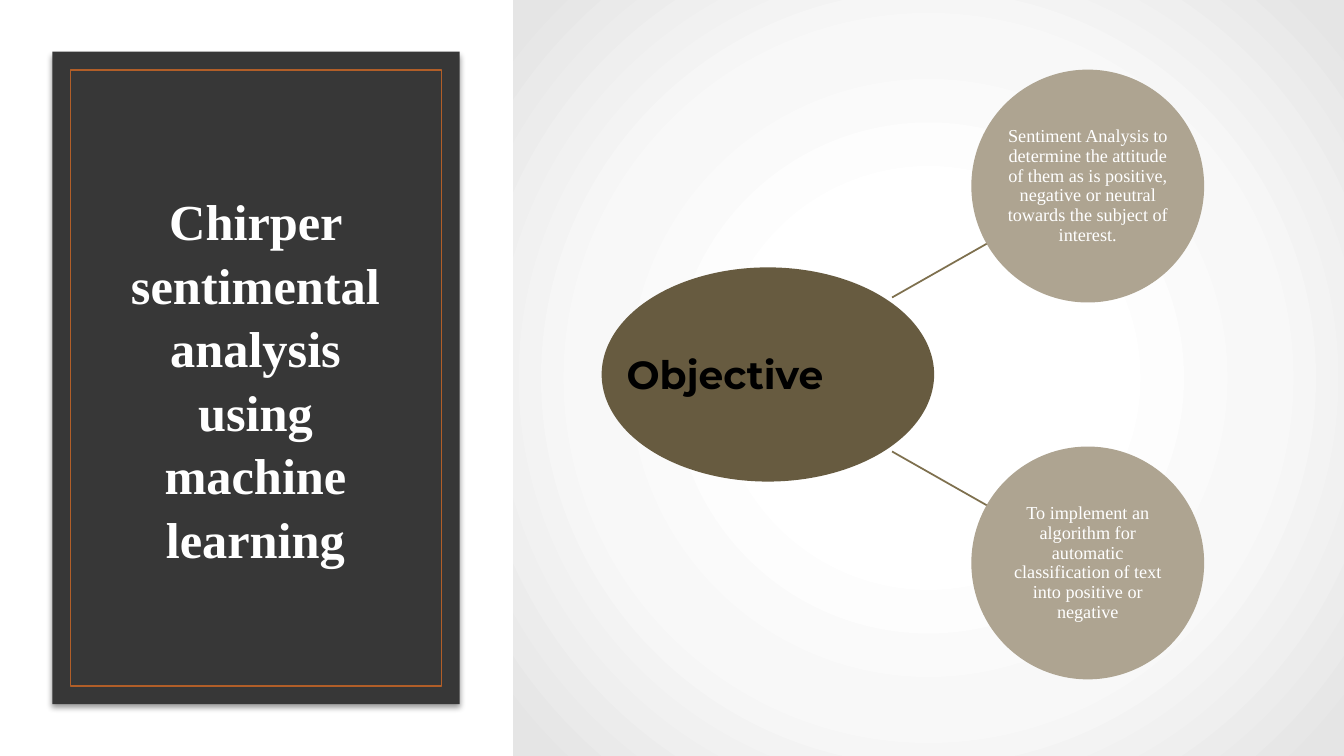
from lxml import etree
from pptx import Presentation, oxml
from pptx.dml.color import RGBColor
from pptx.enum import shapes, text
from pptx.oxml import ns
from pptx.util import Pt

COLORS = {
    "card": "373737", "frame": "B15E28", "hub": "675B40", "goal": "AEA491",
    "link": "7E704E", "white": "FFFFFF", "black": "000000",
}
STOPS = [(0, "FFFFFF"), (30, "FFFFFF"), (61, "F8F8F8"), (97, "E5E5E5")]
SERIF = "Times New Roman"
MID = 267.5
GOALS = [
    (-1, "Sentiment Analysis to determine the attitude of them as is positive, "
         "negative or neutral towards the subject of interest."),
    (1, "To implement an algorithm for automatic classification of text into "
        "positive or negative"),
]


def color(name):
    return RGBColor.from_string(COLORS[name])


def add_form(slide, kind, box, fill=None, line=None):
    form = slide.shapes.add_shape(kind, *map(Pt, box))
    if fill:
        form.fill.solid()
        form.fill.fore_color.rgb = color(fill)
    else:
        form.fill.background()
    if line:
        form.line.color.rgb = color(line)
        form.line.width = Pt(1.25)
    else:
        form.line.fill.background()
    form.shadow.inherit = False
    return form


def add_glow(form):
    effect = form.element.spPr.find(ns.qn("a:effectLst"))
    effect.append(oxml.parse_xml(
        f'<a:outerShdw {ns.nsdecls("a")} blurRad="{Pt(4)}" dist="{Pt(3)}" '
        f'dir="5400000" rotWithShape="0"><a:srgbClr val="{COLORS["black"]}">'
        '<a:alpha val="40000"/></a:srgbClr></a:outerShdw>'))


def add_fade(form):
    stops = "".join(f'<a:gs pos="{pos * 1000}"><a:srgbClr val="{tone}"/></a:gs>'
                    for pos, tone in STOPS)
    props = form.element.spPr
    props.replace(props.find(ns.qn("a:noFill")), oxml.parse_xml(
        f'<a:gradFill {ns.nsdecls("a")} rotWithShape="1"><a:gsLst>{stops}</a:gsLst>'
        '<a:path path="circle"><a:fillToRect l="50000" t="50000" r="50000" '
        'b="50000"/></a:path></a:gradFill>'))


def add_link(slide, start, end):
    link = slide.shapes.add_connector(
        shapes.MSO_CONNECTOR.STRAIGHT, *map(Pt, start + end))
    link.line.color.rgb = color("link")
    link.line.width = Pt(1.25)
    etree.SubElement(link.element.spPr, ns.qn("a:effectLst"))


def set_text(form, words, size, tone, font=SERIF, bold=False,
             align=text.PP_ALIGN.CENTER, space=1, after=0):
    frame = form.text_frame
    frame.word_wrap = True
    frame.auto_size = text.MSO_AUTO_SIZE.NONE
    frame.vertical_anchor = text.MSO_ANCHOR.MIDDLE
    frame.text = words
    para = frame.paragraphs[0]
    para.alignment = align
    para.line_spacing = space
    para.space_after = Pt(after)
    para.font.name = font
    para.font.size = Pt(size)
    para.font.bold = bold
    para.font.color.rgb = color(tone)


def add_title(slide, words, box):
    title = slide.shapes.title
    title.left, title.top, title.width, title.height = map(Pt, box)
    set_text(title, words, 36, "white", bold=True, space=1.05)
    slide.shapes.element.append(title.element)


def add_goal(slide, side, words):
    size = 166.3
    top = MID + side * 134.6 - size / 2
    goal = add_form(slide, shapes.MSO_SHAPE.OVAL, (693.8, top, size, size), "goal")
    set_text(goal, words, 13, "white", space=0.9, after=4.5)
    frame = goal.text_frame
    frame.margin_left = frame.margin_right = Pt(0.7)
    frame.margin_top = frame.margin_bottom = Pt(0.7)


def main():
    deck = Presentation()
    deck.slide_width, deck.slide_height = Pt(960), Pt(540)
    slide = deck.slides.add_slide(deck.slide_layouts[5])
    rect, oval = shapes.MSO_SHAPE.RECTANGLE, shapes.MSO_SHAPE.OVAL

    add_glow(add_form(slide, rect, (37.4, 36.9, 291, 466), "card"))
    add_form(slide, rect, (50.4, 49.9, 265, 440), line="frame")
    add_title(slide, "Chirper sentimental analysis using machine learning",
              (75, 75, 215, 390))
    add_fade(add_form(slide, rect, (366.5, 0, 593.5, 540)))

    for side, words in GOALS:
        add_link(slide, (637.2, MID + side * 55), (705, MID + side * 93.5))
    add_form(slide, oval, (429.8, MID - 76.5, 237.5, 153), "hub")
    for side, words in GOALS:
        add_goal(slide, side, words)

    label = slide.shapes.add_textbox(*map(Pt, (440.6, 247, 216, 41)))
    set_text(label, "Objective", 28, "black", "Montserrat", True,
             text.PP_ALIGN.LEFT, after=6)
    label.text_frame.vertical_anchor = text.MSO_ANCHOR.TOP
    deck.save("out.pptx")


if __name__ == "__main__":
    main()
